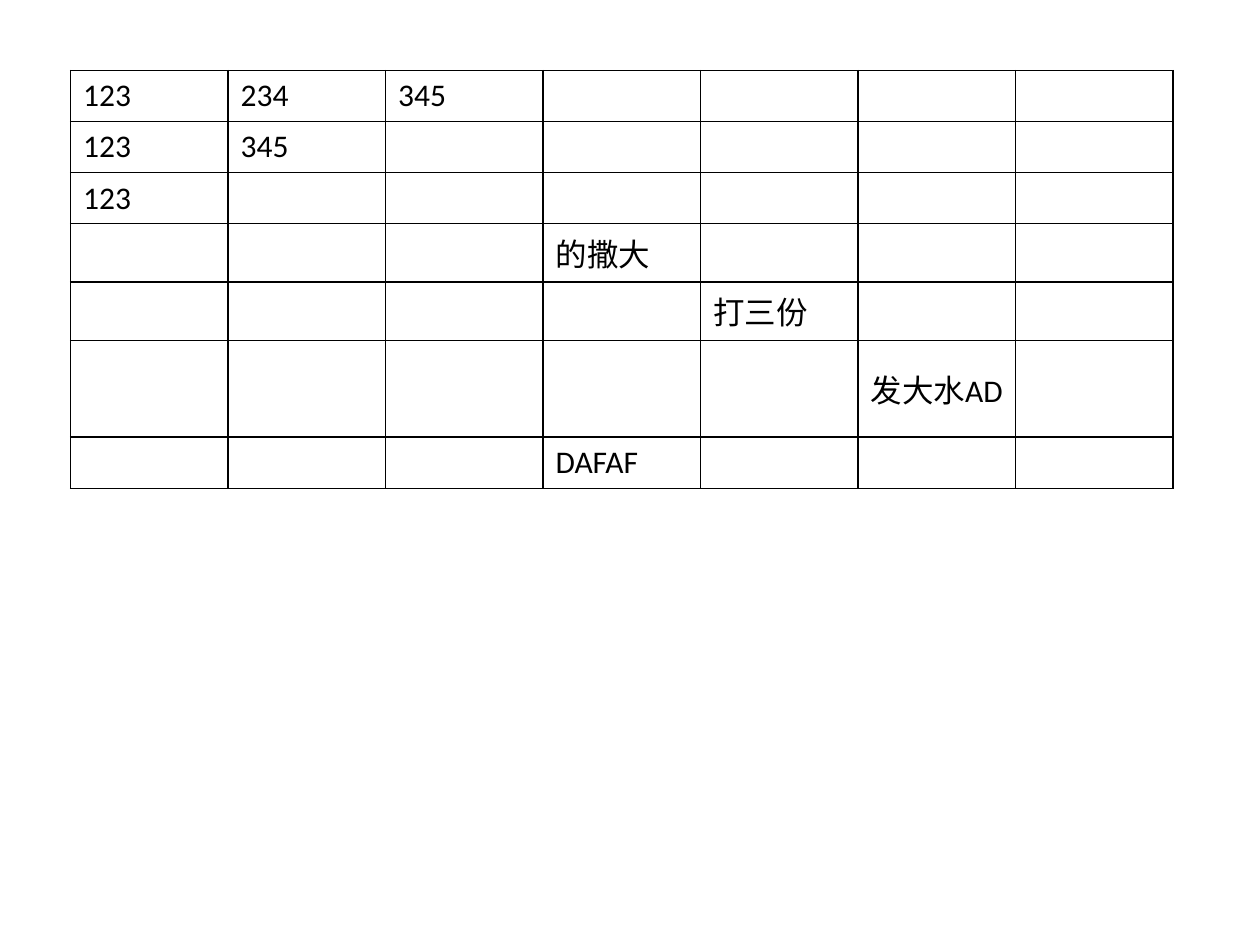
from lxml.etree import SubElement
from pptx import Presentation
from pptx.dml.color import RGBColor
from pptx.enum.text import MSO_ANCHOR
from pptx.oxml.ns import qn
from pptx.util import Inches, Pt

COLORS = {"text": "000000", "border": "000000"}
FONT = "Calibri"
ROWS, COLUMNS = 7, 7
COLUMN_WIDTH, ROW_HEIGHT = 1.25, 0.28

# Filled cells by (row, column)
TEXTS = {
    (0, 0): "123", (0, 1): "234", (0, 2): "345",
    (1, 0): "123", (1, 1): "345",
    (2, 0): "123",
    (3, 3): "的撒大",
    (4, 4): "打三份",
    (5, 5): "发大水AD",
    (6, 3): "DAFAF",
}


def add_borders(cell):
    properties = cell._tc.get_or_add_tcPr()
    for position, side in enumerate(("a:lnL", "a:lnR", "a:lnT", "a:lnB")):
        line = properties.makeelement(qn(side), {"w": str(Pt(0.75))})
        fill = SubElement(line, qn("a:solidFill"))
        SubElement(fill, qn("a:srgbClr"), val=COLORS["border"])
        properties.insert(position, line)


presentation = Presentation()
presentation.slide_width = Inches(10)
presentation.slide_height = Inches(7.5)
slide = presentation.slides.add_slide(presentation.slide_layouts[6])

# Table grid
table = slide.shapes.add_table(
    ROWS, COLUMNS, Inches(0.56), Inches(0.56),
    Inches(COLUMNS * COLUMN_WIDTH), Inches(ROWS * ROW_HEIGHT),
).table
table.first_row = False
table.horz_banding = False
for column in table.columns:
    column.width = Inches(COLUMN_WIDTH)
for row in table.rows:
    row.height = Inches(ROW_HEIGHT)

# Cell style
for cell in table.iter_cells():
    cell.fill.background()
    cell.vertical_anchor = MSO_ANCHOR.MIDDLE
    add_borders(cell)

# Cell text
for (row_index, column_index), text in TEXTS.items():
    paragraph = table.cell(row_index, column_index).text_frame.paragraphs[0]
    run = paragraph.add_run()
    run.text = text
    run.font.name = FONT
    run.font.size = Pt(18)
    run.font.color.rgb = RGBColor.from_string(COLORS["text"])

presentation.save("out.pptx")
